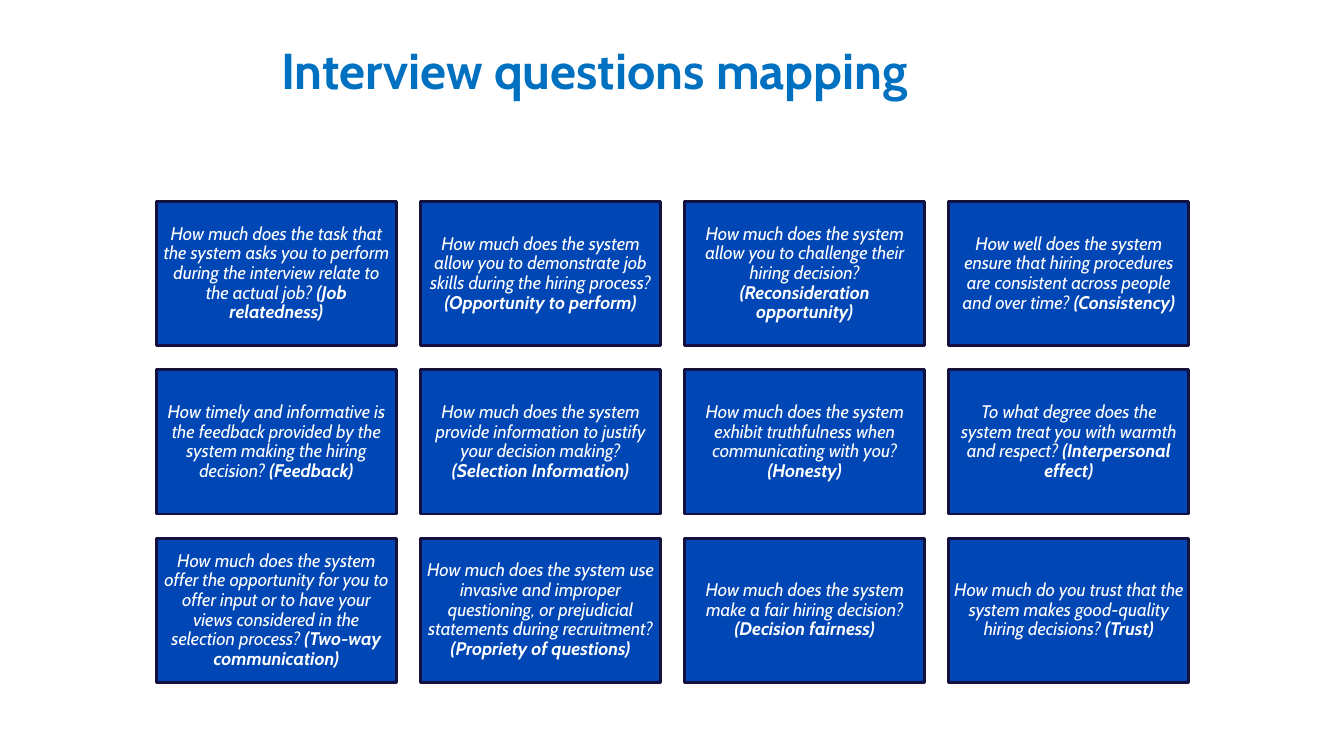
from dataclasses import dataclass

import pptx
import pptx.dml.color
import pptx.enum.shapes
import pptx.enum.text
import pptx.presentation
import pptx.slide
import pptx.util

Inches = pptx.util.Inches
Pt = pptx.util.Pt
RGBColor = pptx.dml.color.RGBColor
ANCHOR = pptx.enum.text.MSO_ANCHOR
ALIGN = pptx.enum.text.PP_ALIGN

FONT = "Cabin"
SKY = RGBColor(0x00, 0x70, 0xC0)
BLUE = RGBColor(0x00, 0x47, 0xB5)
NAVY = RGBColor(0x14, 0x11, 0x40)
WHITE = RGBColor(0xFF, 0xFF, 0xFF)

COLS = 4
LEFT, TOP = 1.55, 2.0
WIDTH, HEIGHT = 2.38, 1.43
GAP = 0.24


@dataclass(frozen=True)
class Card:
    question: str
    topic: str


CARDS = [
    Card("How much does the task that the system asks you to perform during "
         "the interview relate to the actual job?", "Job relatedness"),
    Card("How much does the system allow you to demonstrate job skills during "
         "the hiring process?", "Opportunity to perform"),
    Card("How much does the system allow you to challenge their hiring "
         "decision?", "Reconsideration opportunity"),
    Card("How well does the system ensure that hiring procedures are "
         "consistent across people and over time?", "Consistency"),
    Card("How timely and informative is the feedback provided by the system "
         "making the hiring decision?", "Feedback"),
    Card("How much does the system provide information to justify your "
         "decision making?", "Selection Information"),
    Card("How much does the system exhibit truthfulness when communicating "
         "with you?", "Honesty"),
    Card("To what degree does the system treat you with warmth and respect?",
         "Interpersonal effect"),
    Card("How much does the system offer the opportunity for you to offer "
         "input or to have your views considered in the selection process?",
         "Two-way communication"),
    Card("How much does the system use invasive and improper questioning, or "
         "prejudicial statements during recruitment?",
         "Propriety of questions"),
    Card("How much does the system make a fair hiring decision?",
         "Decision fairness"),
    Card("How much do you trust that the system makes good-quality hiring "
         "decisions?", "Trust"),
]


def set_inset(frame: pptx.text.text.TextFrame, inset: float) -> None:
    frame.word_wrap = True
    frame.margin_left = frame.margin_right = Inches(inset)
    frame.margin_top = frame.margin_bottom = Inches(inset)


def add_title(slide: pptx.slide.Slide, text: str) -> None:
    box = slide.shapes.add_textbox(
        Inches(2.79), Inches(0.46), Inches(11.5), Inches(1.45))
    frame = box.text_frame
    set_inset(frame, 0)
    para = frame.paragraphs[0]
    para.text = text
    para.line_spacing = 0.9
    para.font.name = FONT
    para.font.size = Pt(36)
    para.font.bold = True
    para.font.color.rgb = SKY


def add_card(slide: pptx.slide.Slide, card: Card, row: int, col: int) -> None:
    box = slide.shapes.add_shape(
        pptx.enum.shapes.MSO_SHAPE.RECTANGLE,
        Inches(LEFT + col * (WIDTH + GAP)), Inches(TOP + row * (HEIGHT + GAP)),
        Inches(WIDTH), Inches(HEIGHT))
    box.shadow.inherit = False
    box.fill.solid()
    box.fill.fore_color.rgb = BLUE
    box.line.color.rgb = NAVY
    box.line.width = Pt(2)

    frame = box.text_frame
    set_inset(frame, 0.05)
    frame.vertical_anchor = ANCHOR.MIDDLE
    para = frame.paragraphs[0]
    para.alignment = ALIGN.CENTER
    para.line_spacing = 0.9
    para.font.name = FONT
    para.font.size = Pt(13)
    para.font.italic = True
    para.font.color.rgb = WHITE
    para.add_run().text = f"{card.question} "
    topic = para.add_run()
    topic.text = f"({card.topic})"
    topic.font.bold = True


def main() -> None:
    deck = pptx.Presentation()
    deck.slide_width = Inches(13.33)
    deck.slide_height = Inches(7.5)
    slide = deck.slides.add_slide(deck.slide_layouts[6])
    add_title(slide, "Interview questions mapping")
    for index, card in enumerate(CARDS):
        add_card(slide, card, *divmod(index, COLS))
    deck.save("out.pptx")


if __name__ == "__main__":
    main()
